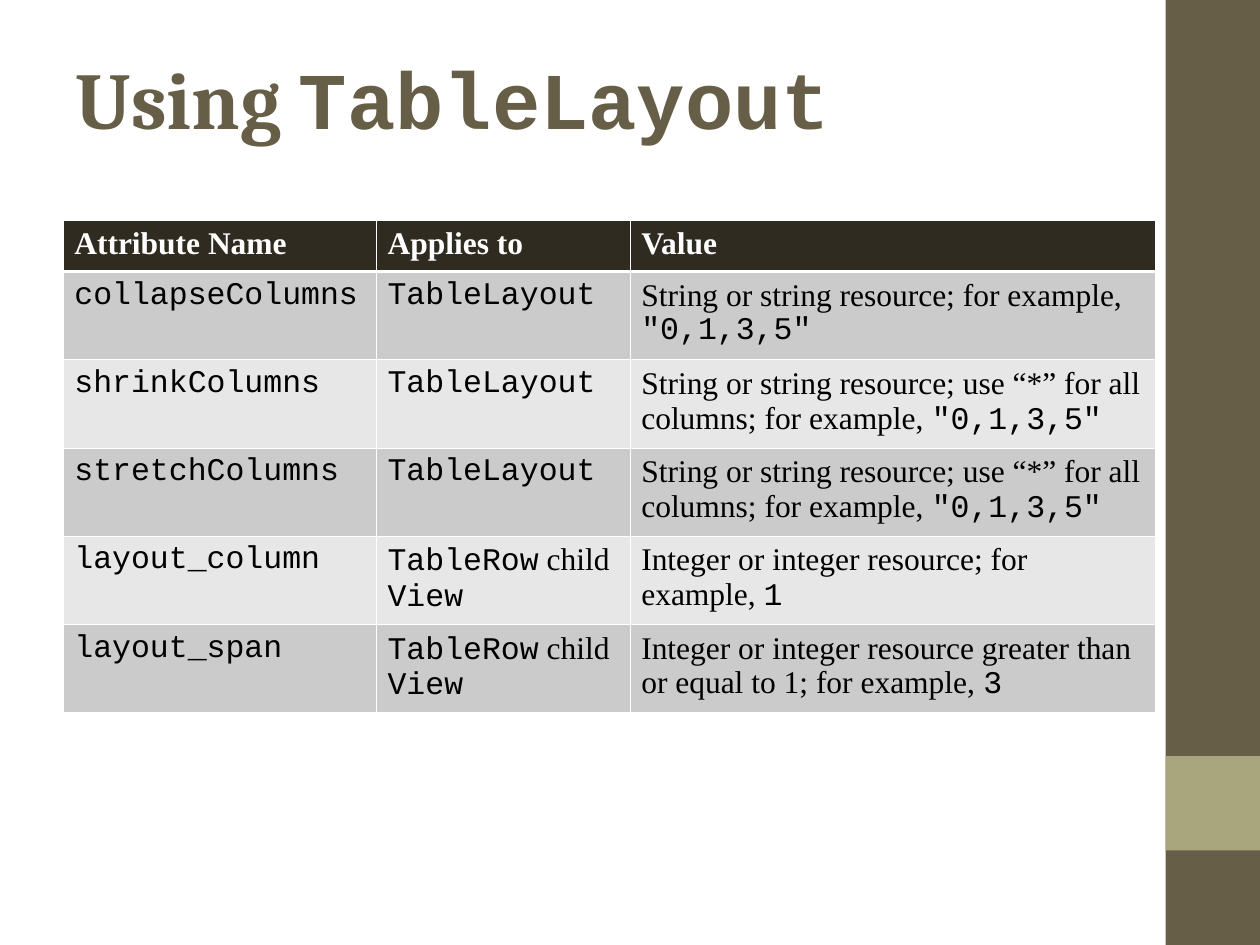
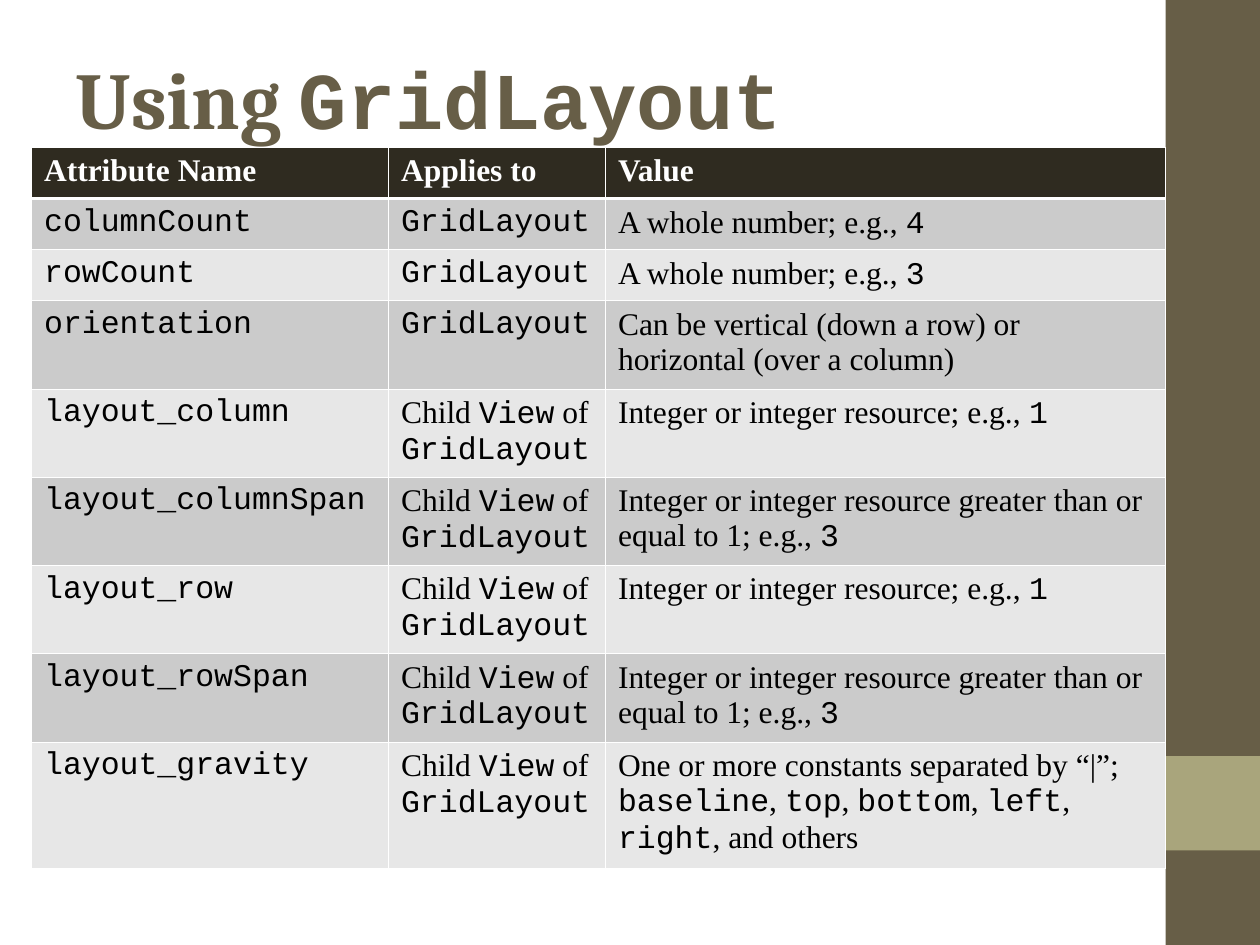
"""Build two slides of layout attribute tables with a shared side band and title style."""
import pptx
import pptx.dml.color
import pptx.enum.shapes
import pptx.enum.text
import pptx.oxml
import pptx.oxml.ns
import pptx.util

Pt = pptx.util.Pt
RGBColor = pptx.dml.color.RGBColor

BROWN = RGBColor(0x67, 0x5E, 0x47)
OLIVE = RGBColor(0xA9, 0xA5, 0x7C)
HEADER_FILL = RGBColor(0x2F, 0x2B, 0x20)
BAND_FILLS = (RGBColor(0xCB, 0xCB, 0xCB), RGBColor(0xE7, 0xE7, 0xE7))
WHITE = RGBColor(0xFF, 0xFF, 0xFF)
BLACK = RGBColor(0, 0, 0)

TITLE_FONT = "Cambria"
BODY_FONT = "Times New Roman"
CODE_FONT = "Courier New"

SLIDE_WIDTH, SLIDE_HEIGHT = 720, 540
SIDE_BAND = (666, 0, 54, 540)
TITLE_BOX = (36, 21.6, 648, 68.4)
THIN, THICK = 0.45, 1.47
ONE_LINE, TWO_LINES, THREE_LINES = 29.2, 50.4, 72

HEADINGS = ("Attribute Name", "Applies to", "Value")

TABLE_LAYOUT_ROWS = (
    ("`collapseColumns`", "`TableLayout`",
     'String or string resource; for example, `"0,1,3,5"`'),
    ("`shrinkColumns`", "`TableLayout`",
     'String or string resource; use “*” for all columns; for example, `"0,1,3,5"`'),
    ("`stretchColumns`", "`TableLayout`",
     'String or string resource; use “*” for all columns; for example, `"0,1,3,5"`'),
    ("`layout_column`", "`TableRow` child `View`",
     "Integer or integer resource; for example, `1`"),
    ("`layout_span`", "`TableRow` child `View`",
     "Integer or integer resource greater than or equal to 1; for example, `3`"),
)

GRID_CHILD = "Child `View` of `GridLayout`"
ANY_INTEGER = "Integer or integer resource; e.g., `1`"
POSITIVE_INTEGER = "Integer or integer resource greater than or equal to 1; e.g., `3`"
GRID_LAYOUT_ROWS = (
    ("`columnCount`", "`GridLayout`", "A whole number; e.g., `4`"),
    ("`rowCount`", "`GridLayout`", "A whole number; e.g., `3`"),
    ("`orientation`", "`GridLayout`",
     "Can be vertical (down a row) or horizontal (over a column)"),
    ("`layout_column`", GRID_CHILD, ANY_INTEGER),
    ("`layout_columnSpan`", GRID_CHILD, POSITIVE_INTEGER),
    ("`layout_row`", GRID_CHILD, ANY_INTEGER),
    ("`layout_rowSpan`", GRID_CHILD, POSITIVE_INTEGER),
    ("`layout_gravity`", GRID_CHILD,
     "One or more constants separated by “|”; "
     "`baseline`, `top`, `bottom`, `left`, `right`, and others"),
)


def write_text(paragraph, text, font_name, size, color, bold):
    """Write text, setting the parts between backticks in the code font."""
    font = paragraph.font
    font.size, font.bold = Pt(size), bold
    font.color.rgb = color
    for index, part in enumerate(text.split("`")):
        if part:
            run = paragraph.add_run()
            run.text = part
            run.font.name = CODE_FONT if index % 2 else font_name


def add_block(slide, box, color):
    """Add a plain filled rectangle."""
    shape = slide.shapes.add_shape(
        pptx.enum.shapes.MSO_SHAPE.RECTANGLE, *map(Pt, box))
    shape.shadow.inherit = False
    shape.fill.solid()
    shape.fill.fore_color.rgb = color
    shape.line.fill.background()


def add_side_band(slide, box):
    """Add the side band with its square accent."""
    left, top, width, height = box
    add_block(slide, box, BROWN)
    add_block(slide, (left, top + 0.8 * height, width, width), OLIVE)


def add_title(slide, box, text):
    """Add the slide title."""
    frame = slide.shapes.add_textbox(*map(Pt, box)).text_frame
    frame.word_wrap = True
    frame.vertical_anchor = pptx.enum.text.MSO_ANCHOR.MIDDLE
    write_text(frame.paragraphs[0], text, TITLE_FONT, 46, BROWN, True)


def set_borders(cell, top_width, bottom_width):
    """Give a cell white borders."""
    properties = cell._tc.get_or_add_tcPr()
    sides = (("L", THIN), ("R", THIN), ("T", top_width), ("B", bottom_width))
    for index, (side, width) in enumerate(sides):
        properties.insert(index, pptx.oxml.parse_xml(
            f'<a:ln{side} {pptx.oxml.ns.nsdecls("a")} w="{Pt(width)}">'
            f'<a:solidFill><a:srgbClr val="{WHITE}"/></a:solidFill></a:ln{side}>'))


def add_attribute_table(slide, left, top, column_widths, row_heights, rows, inset):
    """Add a table of attributes under a dark heading row."""
    table = slide.shapes.add_table(
        len(row_heights), len(column_widths), Pt(left), Pt(top),
        Pt(sum(column_widths)), Pt(sum(row_heights))).table
    table.horz_banding = False
    for column, width in zip(table.columns, column_widths):
        column.width = Pt(width)
    for row_index, (height, texts) in enumerate(zip(row_heights, (HEADINGS, *rows))):
        table.rows[row_index].height = Pt(height)
        is_header = row_index == 0
        for column_index, text in enumerate(texts):
            cell = table.cell(row_index, column_index)
            cell.margin_left = cell.margin_right = Pt(inset)
            cell.margin_top = cell.margin_bottom = Pt(3.6)
            cell.fill.solid()
            cell.fill.fore_color.rgb = (
                HEADER_FILL if is_header else BAND_FILLS[(row_index - 1) % 2])
            set_borders(cell, THICK if row_index == 1 else THIN,
                        THICK if is_header else THIN)
            write_text(cell.text_frame.paragraphs[0], text, BODY_FONT, 18,
                       WHITE if is_header else BLACK, is_header)


def add_attribute_slide(presentation, title, **table_settings):
    """Add a slide with side band, title and attribute table."""
    slide = presentation.slides.add_slide(presentation.slide_layouts[6])
    add_side_band(slide, SIDE_BAND)
    add_title(slide, TITLE_BOX, title)
    add_attribute_table(slide, **table_settings)


def main():
    """Build and save the presentation."""
    presentation = pptx.Presentation()
    presentation.slide_width = Pt(SLIDE_WIDTH)
    presentation.slide_height = Pt(SLIDE_HEIGHT)
    add_attribute_slide(
        presentation, "Using `TableLayout`", left=36, top=126,
        column_widths=(179, 145, 300), row_heights=[ONE_LINE] + [TWO_LINES] * 5,
        rows=TABLE_LAYOUT_ROWS, inset=6.5)
    add_attribute_slide(
        presentation, "Using `GridLayout`", left=18, top=84.3,
        column_widths=(204, 124, 320),
        row_heights=[ONE_LINE] * 3 + [TWO_LINES] * 5 + [THREE_LINES],
        rows=GRID_LAYOUT_ROWS, inset=7.2)
    presentation.save("out.pptx")


if __name__ == "__main__":
    main()
